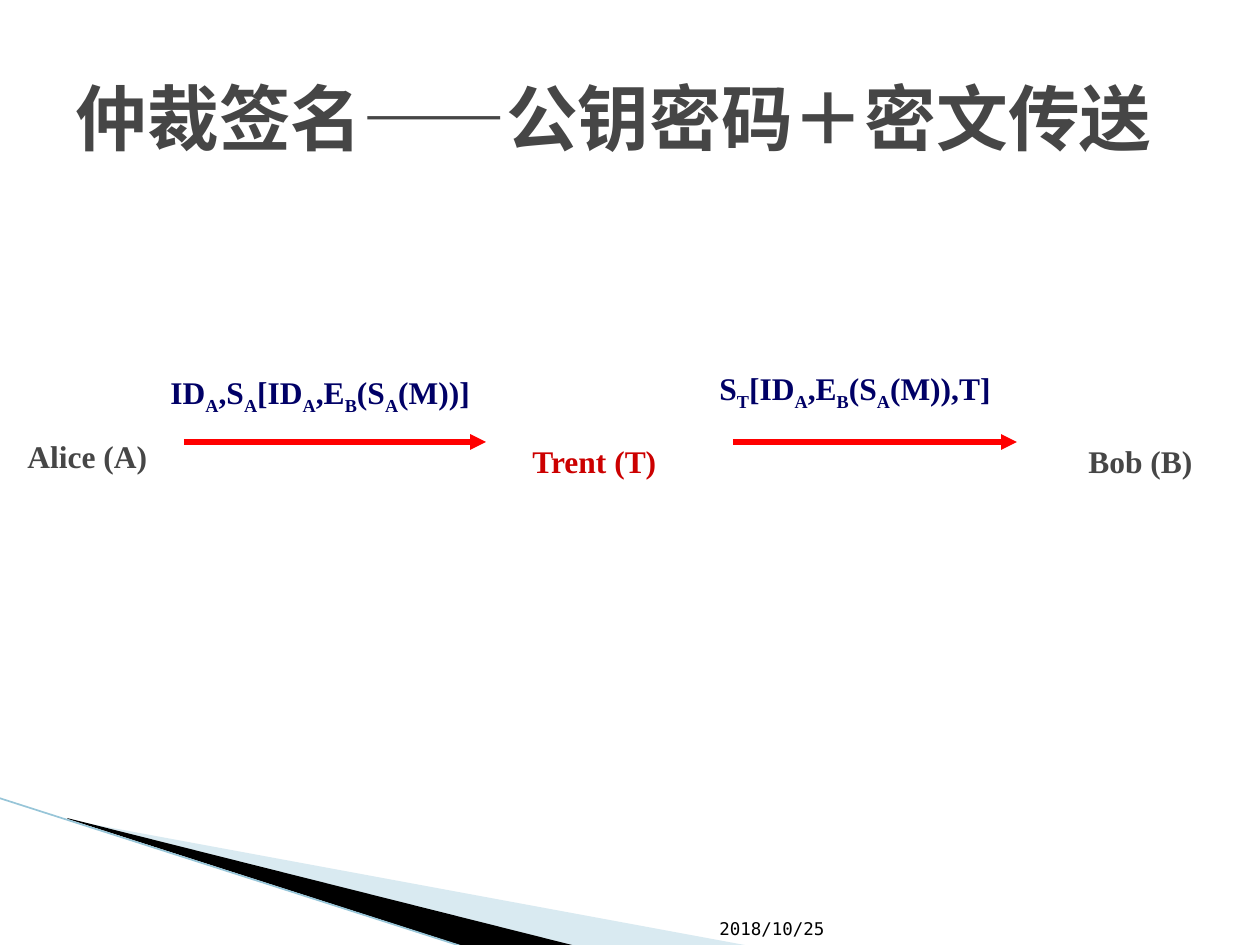
from pptx import Presentation
from pptx.dml.color import RGBColor
from pptx.enum.shapes import MSO_CONNECTOR as Link
from pptx.enum.text import MSO_ANCHOR as Anchor, MSO_AUTO_SIZE as Fit, PP_ALIGN as Align
from pptx.oxml.ns import qn
from pptx.util import Pt
from lxml.etree import SubElement

PX = 7257.14  # EMU per px, 126 px to the inch
SANS, SERIF = "DejaVu Sans Mono", "Times New Roman"
BLACK = RGBColor(0x00, 0x00, 0x00)
GREY = RGBColor(0x46, 0x46, 0x46)
CRIMSON = RGBColor(0xCC, 0x00, 0x00)
RED = RGBColor(0xFF, 0x00, 0x00)
NAVY = RGBColor(0x00, 0x00, 0x66)
PALE = RGBColor(0xA0, 0xCB, 0xDC)
TEAL = RGBColor(0x97, 0xC5, 0xD8)


def px(num):
    return round(num * PX)


def style(font, name, size, color, bold=True):
    font.name, font.size, font.bold = name, Pt(size), bold
    font.color.rgb = color


def add_title(slide, text):
    title = slide.shapes.title
    title.left, title.top, title.width, title.height = map(px, (63, 38, 1134, 157))
    frame = title.text_frame
    frame.text = text
    frame.auto_size = Fit.NONE
    frame.vertical_anchor = Anchor.MIDDLE
    para = frame.paragraphs[0]
    para.alignment = Align.LEFT
    style(para.runs[0].font, SANS, 41, GREY)


def add_text(slide, box, text, color, name=SERIF, size=18, bold=True, anchor=Anchor.TOP):
    """Add a label; every second part between bars is a subscript."""
    shape = slide.shapes.add_textbox(*map(px, box))
    frame = shape.text_frame
    frame.word_wrap = True
    frame.vertical_anchor = anchor
    for i, part in enumerate(text.split("|")):
        run = frame.paragraphs[0].add_run()
        run.text = part
        style(run.font, name, size, color, bold)
        if i % 2:
            run.font._element.set("baseline", "-25000")
    return shape


def add_line(slide, start, end, color, width, head=False):
    line = slide.shapes.add_connector(Link.STRAIGHT, *map(px, start + end))
    line.line.color.rgb = color
    line.line.width = Pt(width)
    if head:
        SubElement(line.line._get_or_add_ln(), qn("a:tailEnd"), type="triangle")
    SubElement(line._element.spPr, qn("a:effectLst"))


def add_wedge(slide, points, color, alpha=None):
    pen = slide.shapes.build_freeform(*points[0], scale=PX)
    pen.add_line_segments(points[1:], close=True)
    shape = pen.convert_to_shape()
    shape.shadow.inherit = False
    shape.line.fill.background()
    shape.fill.solid()
    shape.fill.fore_color.rgb = color
    if alpha:
        tint = shape._element.spPr.find(qn("a:solidFill"))[0]
        SubElement(tint, qn("a:alpha"), val=str(alpha * 1000))


def main():
    deck = Presentation()
    deck.slide_width, deck.slide_height = px(1260), px(945)
    slide = deck.slides.add_slide(deck.slide_layouts[5])

    # Corner decoration and date
    add_wedge(slide, [(69, 820), (750, 946), (575, 946), (69, 819)], PALE, 40)
    add_wedge(slide, [(67, 818), (576, 946), (469, 948), (68, 819)], BLACK)
    add_line(slide, (-1, 798), (467, 948), TEAL, 0.95)
    add_text(slide, (707, 883, 141, 62), "2018/10/25", BLACK, SANS, 10, False, Anchor.BOTTOM)

    add_title(slide, "仲裁签名——公钥密码＋密文传送")

    # Parties
    for left, top, width, name, color in (
        (15, 431, 159, "Alice (A)", GREY),
        (1076, 436, 132, "Bob (B)", GREY),
        (520, 436, 159, "Trent (T)", CRIMSON),
    ):
        add_text(slide, (left, top, width, 50), name, color)

    # Messages
    add_line(slide, (184, 442), (486, 442), RED, 3, True)
    first = add_text(slide, (158, 367, 344, 50), "ID|A|,S|A|[ID|A|,E|B|(S|A|(M))]", NAVY)
    first.rotation = -0.1
    add_line(slide, (733, 442), (1017, 442), RED, 3, True)
    add_text(slide, (707, 363, 320, 50), "S|T|[ID|A|,E|B|(S|A|(M)),T]", NAVY)

    deck.save("out.pptx")


if __name__ == "__main__":
    main()
